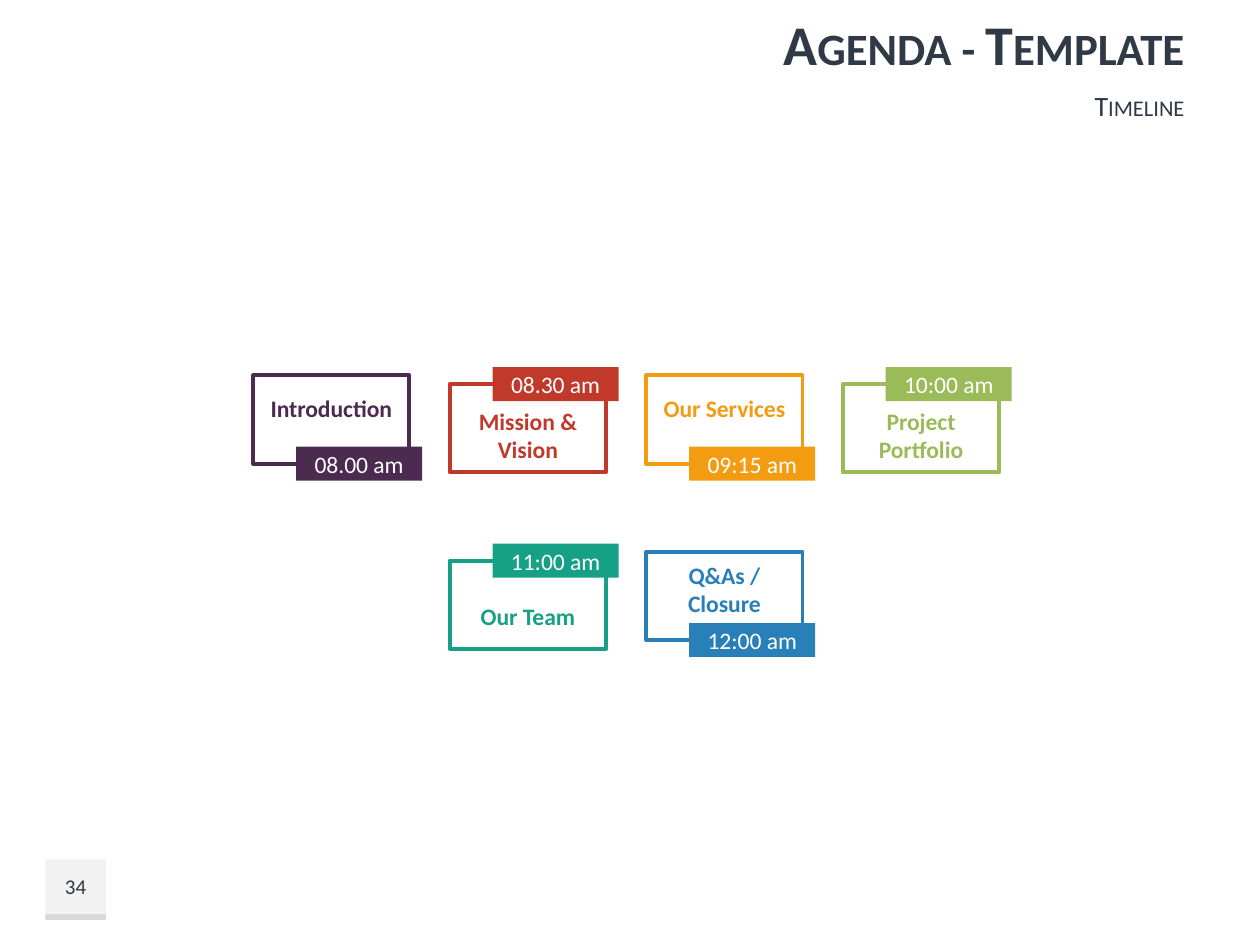
"""Build the agenda timeline slide."""
import pptx
import pptx.util
from pptx.dml.color import RGBColor
from pptx.enum.shapes import MSO_SHAPE
from pptx.enum.text import MSO_ANCHOR, MSO_AUTO_SIZE, PP_ALIGN

INK = RGBColor(0x2F, 0x3A, 0x46)
WHITE = RGBColor(0xFF, 0xFF, 0xFF)
PALE = RGBColor(0xF2, 0xF2, 0xF2)
GREY = RGBColor(0xD9, 0xD9, 0xD9)
PURPLE = RGBColor(0x4B, 0x2C, 0x50)
RED = RGBColor(0xC0, 0x39, 0x2B)
ORANGE = RGBColor(0xF3, 0x9C, 0x12)
GREEN = RGBColor(0x9B, 0xBB, 0x59)
TEAL = RGBColor(0x16, 0xA0, 0x85)
BLUE = RGBColor(0x29, 0x80, 0xB9)

TITLE, SUBTITLE, NUMBER = "Agenda - Template", "Timeline", "34"
# column, row, label, time, colour, tag above, text inset
AGENDA = [
    (0, 0, "Introduction", "08.00 am", PURPLE, False, 0.15),
    (1, 0, "Mission & Vision", "08.30 am", RED, True, 0.07),
    (2, 0, "Our Services", "09:15 am", ORANGE, False, 0.15),
    (3, 0, "Project Portfolio", "10:00 am", GREEN, True, 0.07),
    (1, 1, "Our Team", "11:00 am", TEAL, True, 0.15),
    (2, 1, "Q&As / Closure", "12:00 am", BLUE, False, 0.07),
]
LEFT, TOP, COLUMN, ROW = 2.01, 2.98, 1.56, 1.4
CARD_WIDTH, CARD_HEIGHT, TAG_WIDTH, TAG_HEIGHT = 1.24, 0.7, 1, 0.27
TAG_SHIFT, DROP = 0.34, 0.07
HEAD_LEFT, HEAD_WIDTH, TITLE_HEIGHT = 3.19, 6.31, 0.68
BADGE_LEFT, BADGE_TOP, BADGE_SIZE, STRIP = 0.36, 6.82, 0.48, 0.05


def inches(*values):
    return [pptx.util.Inches(value) for value in values]


def write(shape, text, size, colour, bold=False, align=PP_ALIGN.CENTER,
          anchor=MSO_ANCHOR.MIDDLE, insets=(0.04, 0, 0.04, 0), small_caps=False):
    frame = shape.text_frame
    frame.word_wrap = True
    frame.auto_size = MSO_AUTO_SIZE.NONE
    frame.vertical_anchor = anchor
    (frame.margin_left, frame.margin_top,
     frame.margin_right, frame.margin_bottom) = inches(*insets)
    para = frame.paragraphs[0]
    para.alignment = align
    span = para.add_run()
    span.text = text
    font = para.font
    font.name, font.size, font.bold = "Calibri", pptx.util.Pt(size), bold
    font.color.rgb = colour
    if small_caps:
        span.font._element.set("cap", "small")


def add_box(page, place, fill=None, line=None):
    box = page.shapes.add_shape(MSO_SHAPE.RECTANGLE, *inches(*place))
    box.shadow.inherit = False
    if fill is None:
        box.fill.background()
    else:
        box.fill.solid()
        box.fill.fore_color.rgb = fill
    if line is None:
        box.line.fill.background()
    else:
        box.line.color.rgb = line
        box.line.width = pptx.util.Pt(2.25)
    return box


def add_entry(page, column, row, label, time, colour, above, inset):
    left = LEFT + column * COLUMN
    top = TOP + row * ROW + (DROP if above else 0)
    tag_top = top + (0 if above else CARD_HEIGHT) - TAG_HEIGHT / 2
    card = add_box(page, (left, top, CARD_WIDTH, CARD_HEIGHT), line=colour)
    write(card, label, 13.5, colour, bold=True,
          anchor=MSO_ANCHOR.BOTTOM if above else MSO_ANCHOR.TOP,
          insets=(0.04, 0.04, 0.04, inset) if above else (0.04, inset, 0.04, 0.04))
    tag = add_box(page, (left + TAG_SHIFT, tag_top, TAG_WIDTH, TAG_HEIGHT), fill=colour)
    write(tag, time, 13.5, WHITE)


def add_heading(page):
    title = page.shapes.title
    title.left, title.top, title.width, title.height = inches(
        HEAD_LEFT, 0, HEAD_WIDTH, TITLE_HEIGHT)
    subtitle = page.shapes.add_textbox(
        *inches(HEAD_LEFT, TITLE_HEIGHT, HEAD_WIDTH, 0.31))
    for box, text, size, bold in ((title, TITLE, 32, True), (subtitle, SUBTITLE, 16, False)):
        write(box, text, size, INK, bold, PP_ALIGN.RIGHT,
              insets=(0.1, 0.05, 0.1, 0.05), small_caps=True)


def add_badge(page):
    body = BADGE_SIZE - STRIP
    add_box(page, (BADGE_LEFT, BADGE_TOP + body, BADGE_SIZE, STRIP), fill=GREY)
    badge = add_box(page, (BADGE_LEFT, BADGE_TOP, BADGE_SIZE, body), fill=PALE)
    write(badge, NUMBER, 12, INK)


def main():
    deck = pptx.Presentation()
    deck.slide_width, deck.slide_height = inches(10, 7.5)
    page = deck.slides.add_slide(deck.slide_layouts[5])
    add_badge(page)
    for entry in AGENDA:
        add_entry(page, *entry)
    add_heading(page)
    deck.save("out.pptx")


if __name__ == "__main__":
    main()
